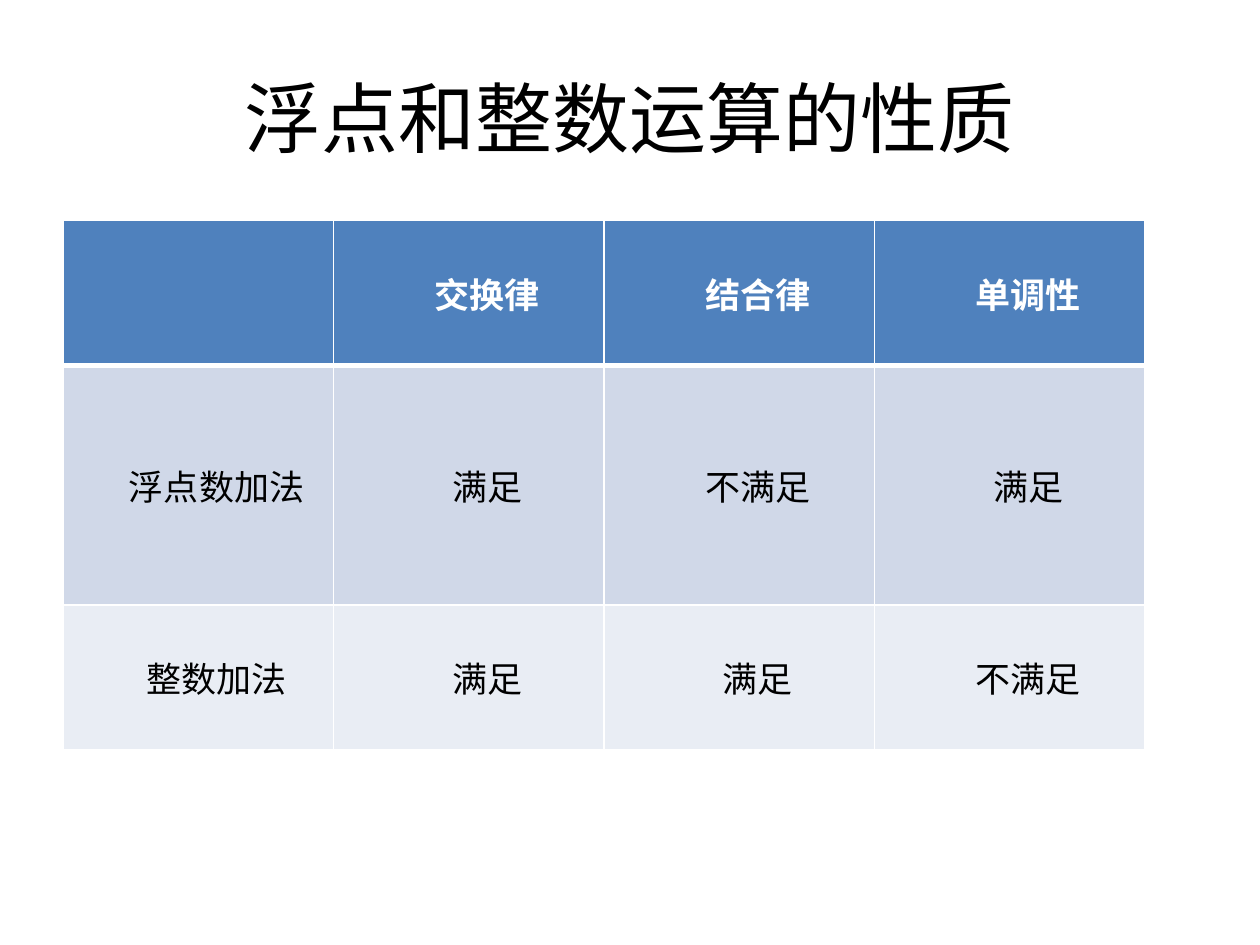
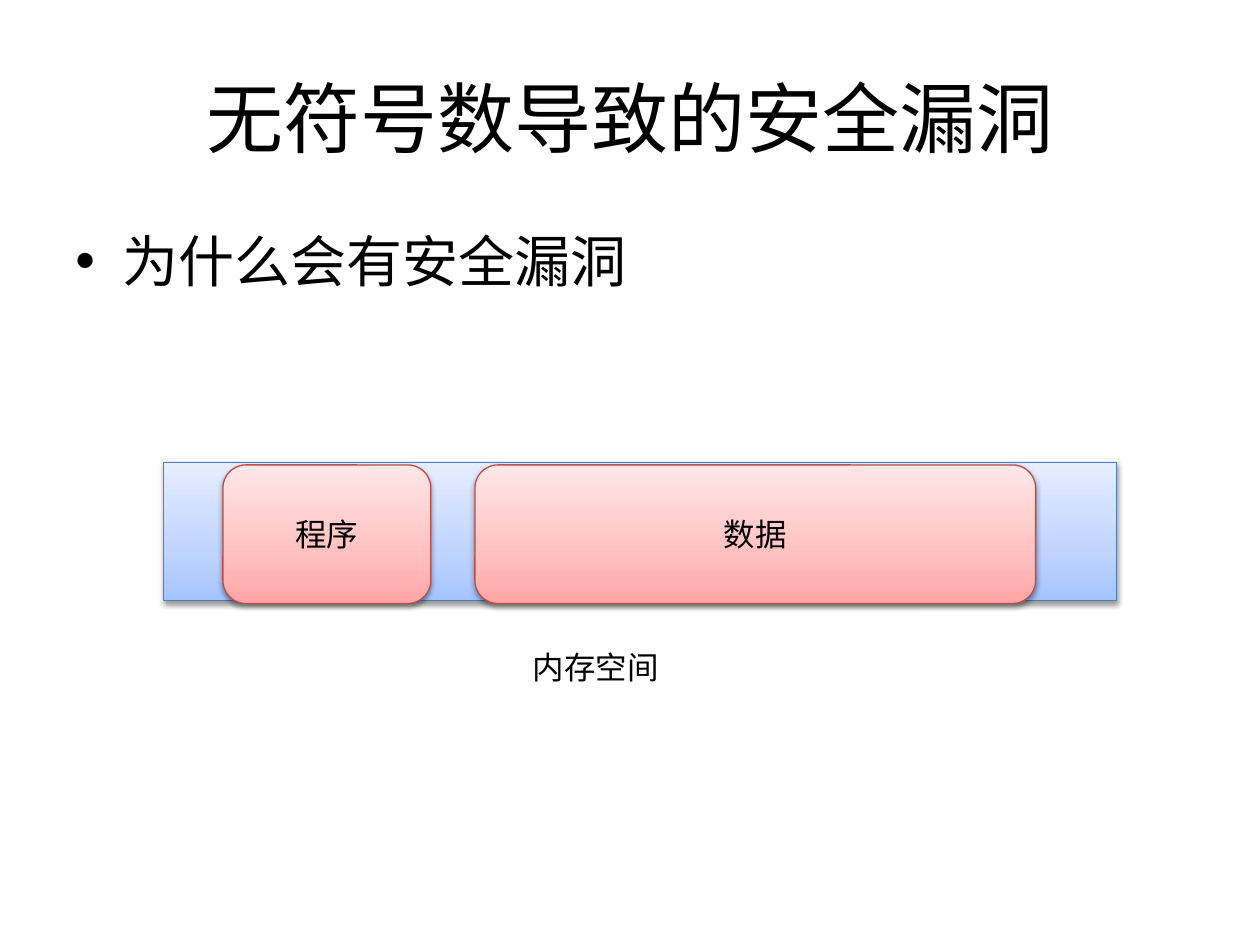
from copy import deepcopy

from lxml import etree
from pptx import Presentation
from pptx.dml.color import RGBColor
from pptx.enum import shapes, text
from pptx.oxml import ns, parse_xml
from pptx.util import Pt

FONT = "Calibri"
BLACK, WHITE = "000000", "FFFFFF"
HEADER_FILL, ROW_FILLS = "4F81BD", ["D0D8E8", "E9EDF4"]
BLUE = {"line": "4B7EBC", "stops": ["A4C4FF", "BFD4FF", "E6EEFF"]}
RED = {"line": "BF4C48", "stops": ["FFA6A5", "FFC0BF", "FFE7E7"]}
CENTER, MIDDLE = text.PP_ALIGN.CENTER, text.MSO_ANCHOR.MIDDLE

prs = Presentation()
prs.slide_width, prs.slide_height = Pt(720), Pt(540)


def write(p, words, size, color=BLACK, bold=False, align=None):
    p.alignment = align
    r = p.add_run()
    r.text = words
    for name, value in {"name": FONT, "size": Pt(size), "bold": bold}.items():
        setattr(r.font, name, value)
    r.font.color.rgb = RGBColor.from_string(color)


def add_slide(title):
    s = prs.slides.add_slide(prs.slide_layouts[5])
    sp = s.shapes.title
    box = {"left": 36, "top": 21.6, "width": 648, "height": 90}
    for name, value in box.items():
        setattr(sp, name, Pt(value))
    sp.text_frame.vertical_anchor = MIDDLE
    write(sp.text_frame.paragraphs[0], title, 44, align=CENTER)
    return s


# Slide 1: table of properties
s = add_slide("浮点和整数运算的性质")
rows = [
    ["", "交换律", "结合律", "单调性"],
    ["浮点数加法", "满足", "不满足", "满足"],
    ["整数加法", "满足", "满足", "不满足"],
]
heights = [82.8, 136.8, 82.8]
col_width = 154.6
tbl = s.shapes.add_table(3, 4, Pt(36), Pt(126), Pt(4 * col_width), Pt(sum(heights))).table
for col in tbl.columns:
    col.width = Pt(col_width)
for i, (words, height) in enumerate(zip(rows, heights)):
    tbl.rows[i].height = Pt(height)
    header = i == 0
    fill = HEADER_FILL if header else ROW_FILLS[i - 1]
    borders = {"L": 1, "R": 1, "T": 3 if i == 1 else 1, "B": 3 if header else 1}
    for j, word in enumerate(words):
        cell = tbl.cell(i, j)
        cell.fill.solid()
        cell.fill.fore_color.rgb = RGBColor.from_string(fill)
        cell.vertical_anchor = MIDDLE
        cell.margin_left = cell.margin_right = Pt(5)
        cell.margin_top = cell.margin_bottom = 0
        tc_pr = cell._tc.get_or_add_tcPr()
        for k, (side, width) in enumerate(borders.items()):
            tc_pr.insert(k, parse_xml(
                f'<a:ln{side} {ns.nsdecls("a")} w="{Pt(width)}"><a:solidFill>'
                f'<a:srgbClr val="{WHITE}"/></a:solidFill></a:ln{side}>'))
        if word:
            p = cell.text_frame.paragraphs[0]
            write(p, word, 20, WHITE if header else BLACK, header, CENTER)
            p._p.get_or_add_pPr().set("indent", str(Pt(21)))

# Slide 2: program and data in the memory space
s = add_slide("无符号数导致的安全漏洞")
tf = s.shapes.add_textbox(Pt(36), Pt(126), Pt(648), Pt(356.4)).text_frame
tf.word_wrap = True
p = tf.paragraphs[0]
p.space_before = Pt(6.4)
write(p, "为什么会有安全漏洞", 32)
p_pr = p._p.get_or_add_pPr()
p_pr.set("marL", str(Pt(27)))
p_pr.set("indent", str(Pt(-27)))
etree.SubElement(p_pr, ns.qn("a:buFont")).set("typeface", "Arial")
etree.SubElement(p_pr, ns.qn("a:buChar")).set("char", "•")

RECT, ROUNDED = shapes.MSO_SHAPE.RECTANGLE, shapes.MSO_SHAPE.ROUNDED_RECTANGLE
blocks = [
    (RECT, 93.6, 264.2, 544.3, BLUE, ""),
    (ROUNDED, 127.4, 265.7, 118.8, RED, "程序"),
    (ROUNDED, 271.4, 265.7, 320.4, RED, "数据"),
]
for kind, left, top, width, colors, word in blocks:
    sp = s.shapes.add_shape(kind, Pt(left), Pt(top), Pt(width), Pt(79.2))
    sp.fill.gradient()
    sp.fill.gradient_angle = 90
    sp_pr = sp.element.spPr
    stop_list = sp_pr.find(".//" + ns.qn("a:gsLst"))
    stop_list.append(deepcopy(stop_list[0]))
    for stop, position, color in zip(sp.fill.gradient_stops, [0, 0.35, 1], colors["stops"]):
        stop.position = position
        stop.color.rgb = RGBColor.from_string(color)
    sp.line.color.rgb = RGBColor.from_string(colors["line"])
    sp.line.width = Pt(0.75)
    sp.shadow.inherit = False
    sp_pr.find(ns.qn("a:effectLst")).append(parse_xml(
        f'<a:outerShdw {ns.nsdecls("a")} blurRad="{Pt(3.1)}" dist="{Pt(1.6)}" dir="5400000" '
        f'rotWithShape="0"><a:srgbClr val="{BLACK}"><a:alpha val="38000"/></a:srgbClr></a:outerShdw>'))
    if word:
        sp.text_frame.vertical_anchor = MIDDLE
        write(sp.text_frame.paragraphs[0], word, 18, align=CENTER)

tf = s.shapes.add_textbox(Pt(297.4), Pt(366.5), Pt(87.1), Pt(28.8)).text_frame
tf.word_wrap = False
tf.auto_size = text.MSO_AUTO_SIZE.SHAPE_TO_FIT_TEXT
write(tf.paragraphs[0], "内存空间", 18)

prs.save("out.pptx")
